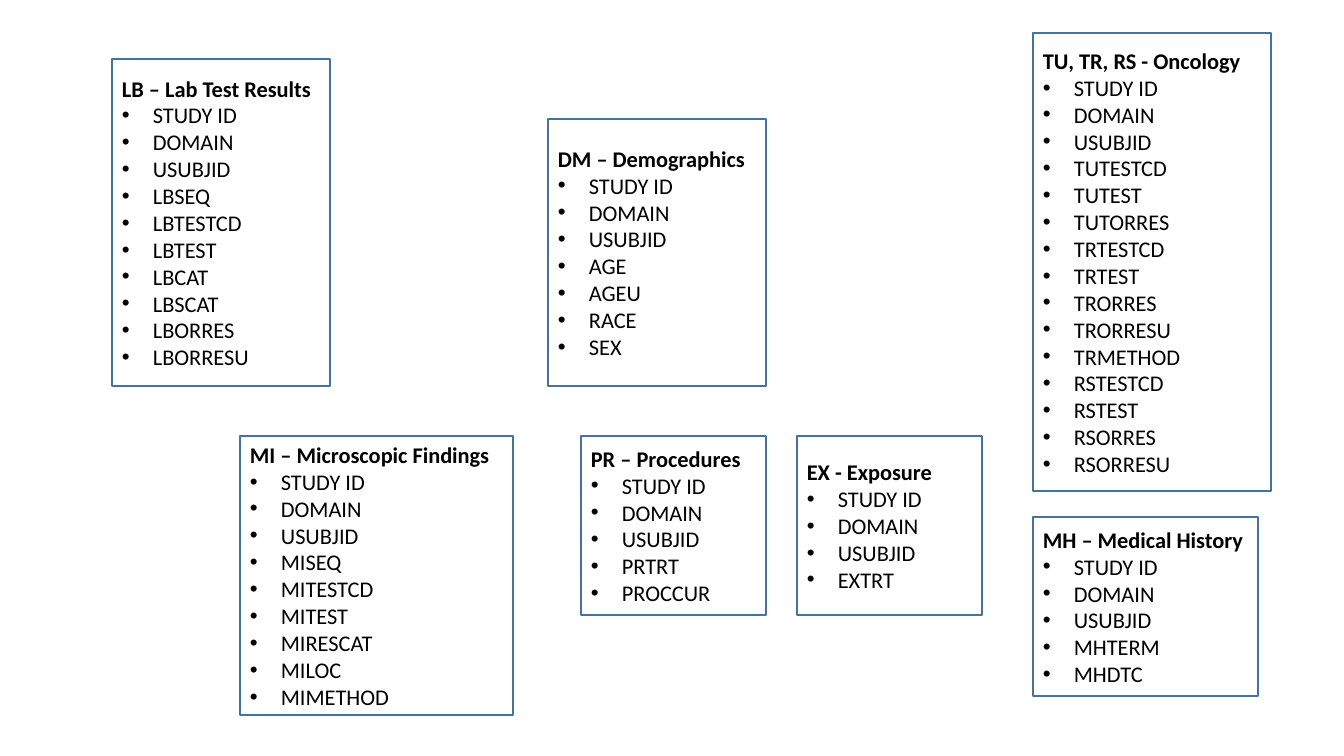
"""Build a slide of clinical data domains and their variables."""
from lxml import etree
from pptx import Presentation
from pptx import util as u
from pptx.dml.color import RGBColor
from pptx.enum import shapes, text
from pptx.oxml import ns

SCALE = 914400 / 100.8
COLORS = {"fill": "FFFFFF", "border": "43739E", "text": "000000"}
INDENT = 31
COMMON_VARIABLES = ["STUDY ID", "DOMAIN", "USUBJID"]
DOMAINS = [
    ("DM – Demographics", (548, 119, 218, 267), "AGE AGEU RACE SEX"),
    ("LB – Lab Test Results", (112, 59, 218, 327),
     "LBSEQ LBTESTCD LBTEST LBCAT LBSCAT LBORRES LBORRESU"),
    ("TU, TR, RS - Oncology", (1033, 33, 238, 458),
     "TUTESTCD TUTEST TUTORRES TRTESTCD TRTEST TRORRES TRORRESU TRMETHOD "
     "RSTESTCD RSTEST RSORRES RSORRESU"),
    ("MI – Microscopic Findings", (240, 436, 273, 279),
     "MISEQ MITESTCD MITEST MIRESCAT MILOC MIMETHOD"),
    ("PR – Procedures", (581, 436, 185, 179), "PRTRT PROCCUR"),
    ("EX - Exposure", (797, 436, 185, 179), "EXTRT"),
    ("MH – Medical History", (1033, 517, 225, 179), "MHTERM MHDTC"),
]


def px(pixels):
    """Convert pixels to EMU."""
    return u.Emu(round(pixels * SCALE))


def color(name):
    """Look up a named colour."""
    return RGBColor.from_string(COLORS[name])


def add_bullet(paragraph):
    """Give a paragraph a hanging round bullet."""
    properties = paragraph._p.get_or_add_pPr()
    properties.set("marL", str(px(INDENT)))
    properties.set("indent", str(-px(INDENT)))
    font = etree.SubElement(properties, ns.qn("a:buFont"))
    font.set("typeface", "Arial")
    bullet = etree.SubElement(properties, ns.qn("a:buChar"))
    bullet.set("char", "•")


def write_line(paragraph, wording, bold=False):
    """Write one left-aligned line of a domain box."""
    paragraph.text = wording
    paragraph.alignment = text.PP_ALIGN.LEFT
    paragraph.font.name = "Calibri"
    paragraph.font.size = u.Pt(16)
    paragraph.font.bold = bold
    paragraph.font.color.rgb = color("text")


def add_domain(slide, title, box, variables):
    """Add a bordered box with a bold title and bulleted variables."""
    shape = slide.shapes.add_shape(shapes.MSO_SHAPE.RECTANGLE, *map(px, box))
    shape.shadow.inherit = False
    shape.fill.solid()
    shape.fill.fore_color.rgb = color("fill")
    shape.line.color.rgb = color("border")
    shape.line.width = u.Pt(1)
    frame = shape.text_frame
    frame.word_wrap = True
    frame.vertical_anchor = text.MSO_ANCHOR.MIDDLE
    write_line(frame.paragraphs[0], title, bold=True)
    for variable in variables:
        paragraph = frame.add_paragraph()
        write_line(paragraph, variable)
        add_bullet(paragraph)


def main():
    """Build and save the presentation."""
    presentation = Presentation()
    presentation.slide_width = px(1344)
    presentation.slide_height = px(756)
    slide = presentation.slides.add_slide(presentation.slide_layouts[6])
    for title, box, variables in DOMAINS:
        add_domain(slide, title, box, COMMON_VARIABLES + variables.split())
    presentation.save("out.pptx")


main()
